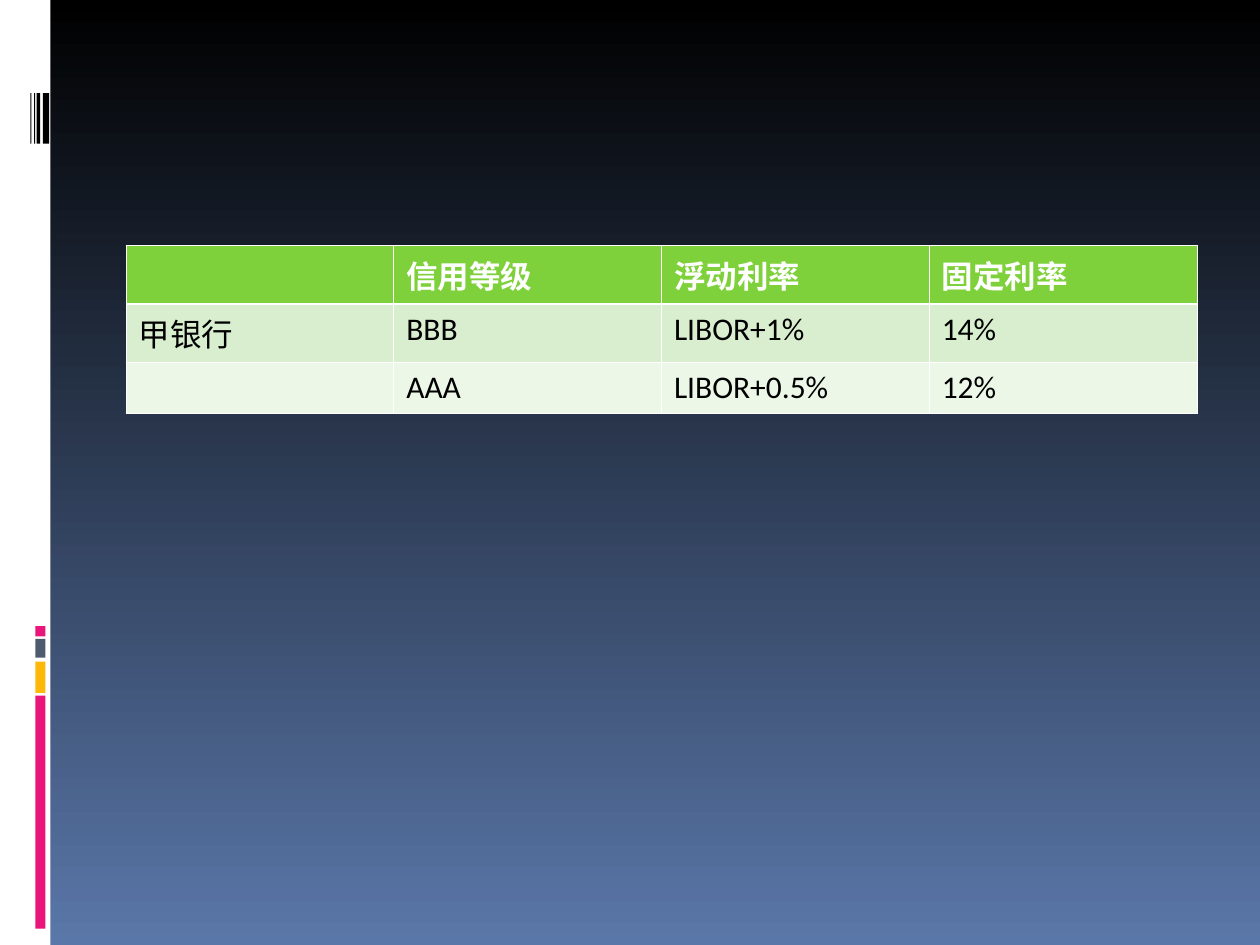
from lxml import etree
from pptx import Presentation
from pptx.dml.color import RGBColor
from pptx.enum.shapes import MSO_SHAPE
from pptx.oxml.ns import qn
from pptx.util import Inches, Pt

RECTANGLE = MSO_SHAPE.RECTANGLE
BLACK = RGBColor(0x00, 0x00, 0x00)
WHITE = RGBColor(0xFF, 0xFF, 0xFF)
BLUE = RGBColor(0x5A, 0x77, 0xA9)
PINK = RGBColor(0xEA, 0x15, 0x7A)
AMBER = RGBColor(0xFE, 0xB8, 0x0A)
SLATE = RGBColor(0x4E, 0x5B, 0x6F)
GREEN = RGBColor(0x7F, 0xD1, 0x3B)
LIGHT_GREEN = RGBColor(0xD8, 0xEE, 0xCE)
PALE_GREEN = RGBColor(0xEC, 0xF7, 0xE8)

THIN, THICK = Pt(0.45), Pt(1.47)
ROW_FILLS = [GREEN, LIGHT_GREEN, PALE_GREEN]
RATES = [
    ["", "信用等级", "浮动利率", "固定利率"],
    ["甲银行", "BBB", "LIBOR+1%", "14%"],
    ["", "AAA", "LIBOR+0.5%", "12%"],
]
ACCENT_BARS = [(5.52, 1.85, PINK), (5.25, 0.25, AMBER), (5.07, 0.15, SLATE), (4.97, 0.08, PINK)]
BARCODE_STRIPES = [(0.34, 0.05), (0.29, 0.03), (0.27, 0.01), (0.24, 0.01)]


class SlideBuilder:
    """Holds the style and the current slide, and draws its elements."""

    font_name = "Calibri"
    font_size = Pt(18)

    def __init__(self, page):
        self.page = page

    def background(self, top, bottom):
        fill = self.page.background.fill
        fill.gradient()
        fill.gradient_angle = 270
        for stop, color in zip(fill.gradient_stops, (top, bottom)):
            stop.color.rgb = color

    def bar(self, left, top, width, height, color):
        shape = self.page.shapes.add_shape(
            RECTANGLE, Inches(left), Inches(top), Inches(width), Inches(height))
        shape.shadow.inherit = False
        shape.fill.solid()
        shape.fill.fore_color.rgb = color
        shape.line.fill.background()

    def borders(self, cell, top, bottom):
        properties = cell._tc.get_or_add_tcPr()
        sides = {"a:lnL": THIN, "a:lnR": THIN, "a:lnT": top, "a:lnB": bottom}
        for position, (side, width) in enumerate(sides.items()):
            line = etree.Element(qn(side), w=str(int(width)))
            fill = etree.SubElement(line, qn("a:solidFill"))
            etree.SubElement(fill, qn("a:srgbClr"), val=str(WHITE))
            properties.insert(position, line)

    def cell(self, cell, text, fill, header):
        cell.text = text
        cell.fill.solid()
        cell.fill.fore_color.rgb = fill
        font = cell.text_frame.paragraphs[0].font
        font.name = self.font_name
        font.size = self.font_size
        font.bold = header
        font.color.rgb = WHITE if header else BLACK

    def table(self, left, top, width, height, rows, fills):
        table = self.page.shapes.add_table(
            len(rows), len(rows[0]),
            Inches(left), Inches(top), Inches(width), Inches(height)).table
        for row, (texts, fill) in enumerate(zip(rows, fills)):
            for column, text in enumerate(texts):
                cell = table.cell(row, column)
                self.cell(cell, text, fill, row == 0)
                self.borders(cell, THICK if row == 1 else THIN, THICK if row == 0 else THIN)


def main():
    deck = Presentation()
    deck.slide_width, deck.slide_height = Inches(10), Inches(7.5)
    builder = SlideBuilder(deck.slides.add_slide(deck.slide_layouts[6]))
    builder.background(BLACK, BLUE)
    builder.bar(0, 0, 0.4, 7.5, WHITE)
    for top, height, color in ACCENT_BARS:
        builder.bar(0.28, top, 0.08, height, color)
    for left, width in BARCODE_STRIPES:
        builder.bar(left, 0.74, width, 0.4, BLACK)
    builder.table(1, 1.95, 8.5, 1.22, RATES, ROW_FILLS)
    deck.save("out.pptx")


if __name__ == "__main__":
    main()
